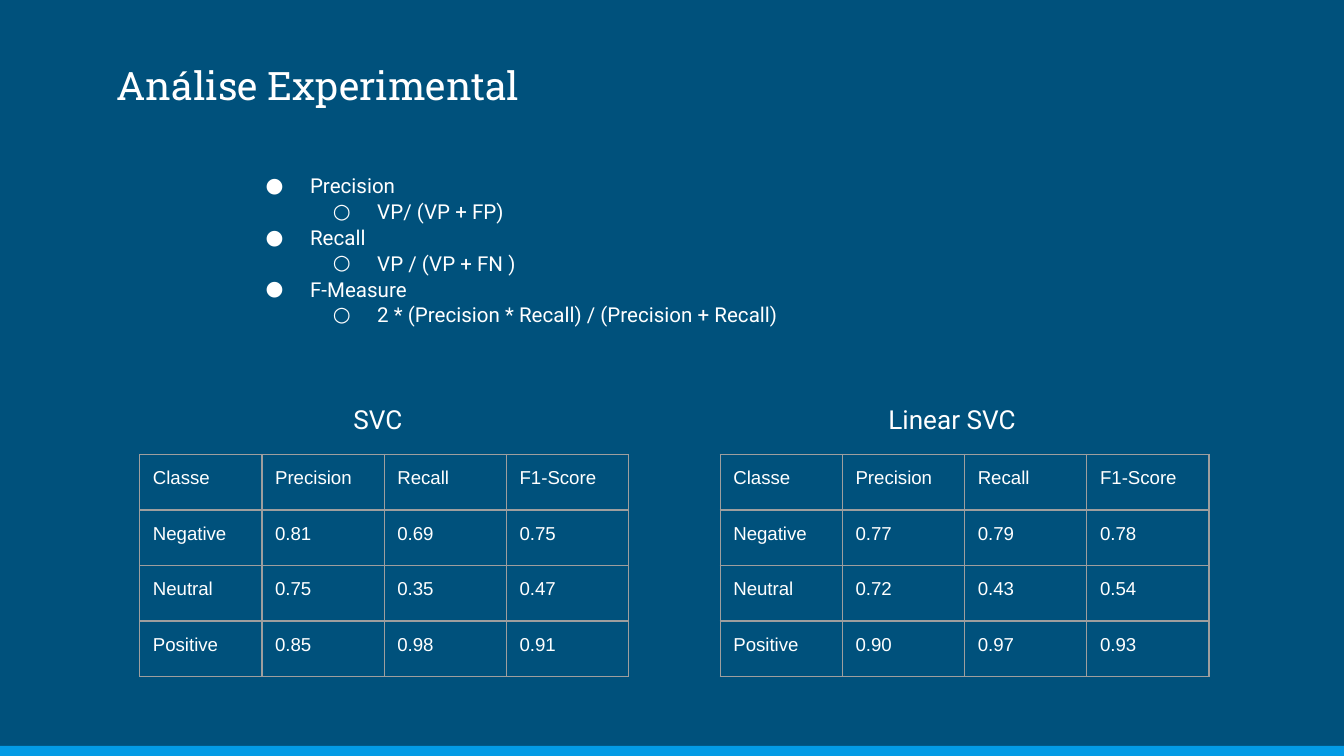
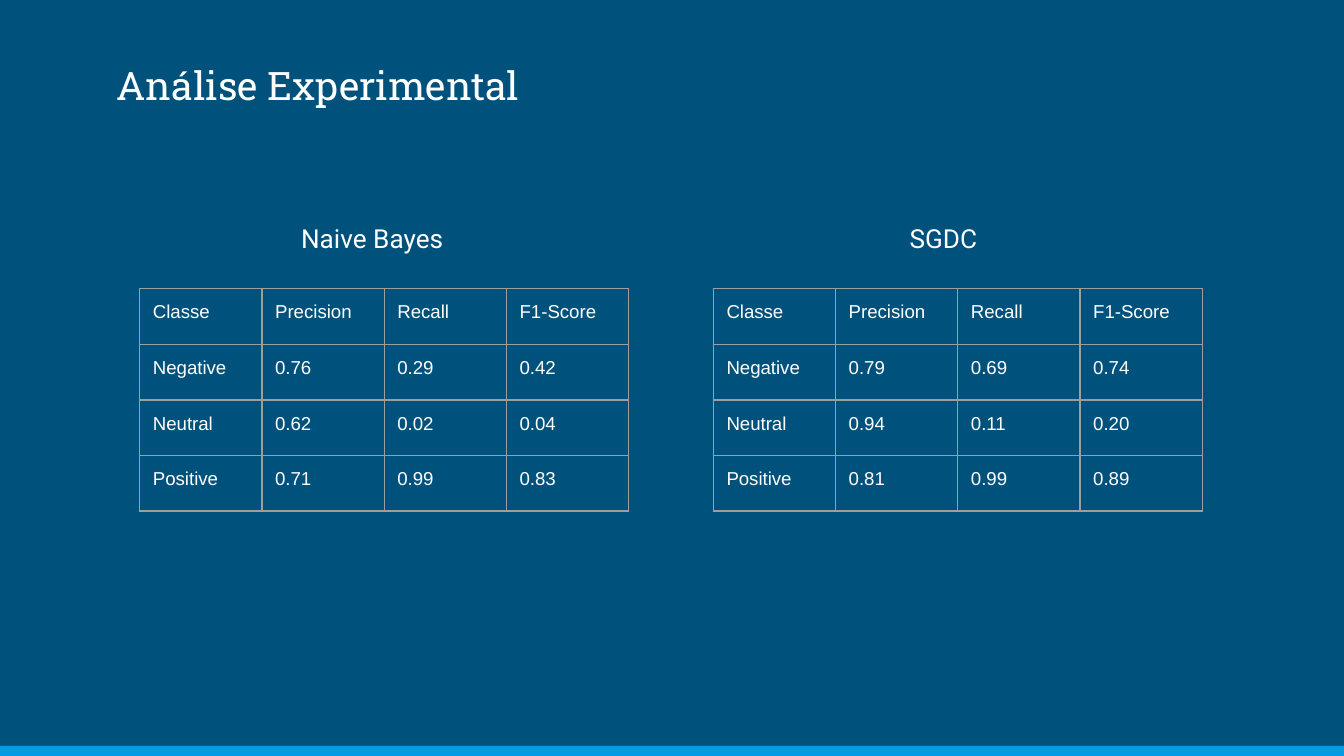
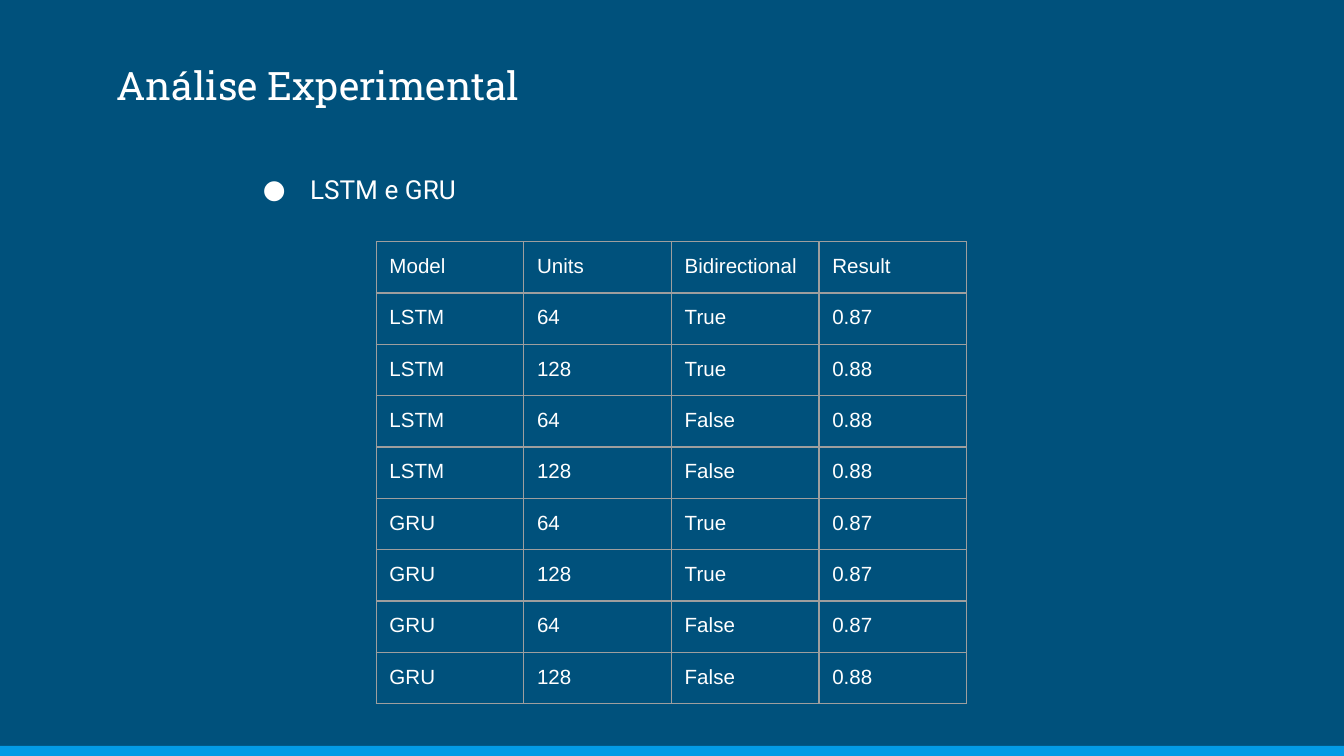
from lxml import etree
from pptx import Presentation
from pptx.dml.color import RGBColor
from pptx.enum.shapes import MSO_SHAPE
from pptx.enum.text import MSO_ANCHOR, PP_ALIGN
from pptx.oxml.ns import qn
from pptx.util import Cm, Pt

RECT = MSO_SHAPE.RECTANGLE
TOP, MIDDLE = MSO_ANCHOR.TOP, MSO_ANCHOR.MIDDLE
LEFT, CENTER = PP_ALIGN.LEFT, PP_ALIGN.CENTER
NAVY = RGBColor(0x00, 0x51, 0x7C)
SKY = RGBColor(0x03, 0x9B, 0xE5)
GREY = RGBColor(0x9E, 0x9E, 0x9E)
WHITE = RGBColor(0xFF, 0xFF, 0xFF)
SLAB, SANS, ARIAL = "Roboto Slab", "Roboto", "Arial"
WIDTH, HEIGHT, BAND = 25.4, 14.29, 0.19
INSET, INDENT = 0.25, 1.27
EDGES = ("a:lnL", "a:lnR", "a:lnT", "a:lnB")
HEAD = ("Classe", "Precision", "Recall", "F1-Score")
CLASSES = ("Negative", "Neutral", "Positive")


class Deck:
    """Hold the shared style and the current slide."""

    def __init__(self):
        self.prs = Presentation()
        self.prs.slide_width, self.prs.slide_height = Cm(WIDTH), Cm(HEIGHT)
        self.slide = None

    def page(self, title):
        self.slide = self.prs.slides.add_slide(self.prs.slide_layouts[6])
        fill = self.slide.background.fill
        fill.solid()
        fill.fore_color.rgb = NAVY
        self.band()
        self.text([title], (0.64, 0.58, 10.74, 2.06), 21, SLAB, CENTER, MIDDLE)

    def band(self):
        band = self.slide.shapes.add_shape(
            RECT, 0, Cm(HEIGHT - BAND), Cm(WIDTH), Cm(BAND))
        band.shadow.inherit = False
        band.fill.solid()
        band.fill.fore_color.rgb = SKY
        band.line.fill.background()

    def style(self, para, size, font):
        for run in para.runs:
            run.font.size = Pt(size)
            run.font.name = font
            run.font.color.rgb = WHITE

    def text(self, lines, area, size, font=SANS, align=LEFT, anchor=TOP):
        box = self.slide.shapes.add_textbox(*map(Cm, area))
        frame = box.text_frame
        frame.word_wrap = True
        frame.vertical_anchor = anchor
        frame.margin_left = frame.margin_right = Cm(INSET)
        frame.margin_top = frame.margin_bottom = Cm(INSET)
        frame.text = "\n".join(lines)
        for para in frame.paragraphs:
            para.alignment = align
            self.style(para, size, font)
        return frame

    def bullets(self, items, height, size, hang):
        lines = [line for level, line in items]
        frame = self.text(lines, (4.34, 3, 18.42, height), size)
        for para, (level, line) in zip(frame.paragraphs, items):
            para.level = level
            para.line_spacing = 1.05
            props = para._p.get_or_add_pPr()
            props.set("marL", str(Cm(INDENT * (level + 1))))
            props.set("indent", str(Cm(-hang)))
            color = etree.SubElement(props, qn("a:buClr"))
            etree.SubElement(color, qn("a:srgbClr"), val=str(WHITE))
            etree.SubElement(props, qn("a:buFont"), typeface=SANS)
            etree.SubElement(props, qn("a:buChar"), char="●○"[level])

    def border(self, cell):
        props = cell._tc.get_or_add_tcPr()
        for edge in EDGES:
            line = etree.SubElement(props, qn(edge), w=str(Pt(0.75)))
            fill = etree.SubElement(line, qn("a:solidFill"))
            etree.SubElement(fill, qn("a:srgbClr"), val=str(GREY))

    def table(self, rows, left, top, width, height, size):
        count, wide = len(rows), len(rows[0])
        table = self.slide.shapes.add_table(
            count, wide, Cm(left), Cm(top),
            Cm(width * wide), Cm(height * count)).table
        table.first_row = table.horz_banding = False
        for col in table.columns:
            col.width = Cm(width)
        for row, values in zip(table.rows, rows):
            row.height = Cm(height)
            for cell, value in zip(row.cells, values):
                cell.text = value
                cell.margin_left = cell.margin_right = Cm(INSET)
                cell.margin_top = cell.margin_bottom = Cm(INSET)
                self.border(cell)
                cell.fill.background()
                self.style(cell.text_frame.paragraphs[0], size, ARIAL)

    def scores(self, name, label, left, top, values):
        rows = [HEAD] + [(kind, *line.split())
                         for kind, line in zip(CLASSES, values)]
        self.table(rows, left, top, 2.31, 1.05, 10)
        self.text([name], (*label, 1.12), 14)


def main():
    deck = Deck()
    title = "Análise Experimental"

    deck.page(title)
    deck.bullets([
        (0, "Precision"), (1, "VP/ (VP + FP)"),
        (0, "Recall"), (1, "VP / (VP + FN )"),
        (0, "F-Measure"), (1, "2 * (Precision * Recall) / (Precision + Recall)"),
    ], 6.45, 11, 0.84)
    deck.scores("SVC", (6.43, 7.37, 1.65), 2.64, 8.59,
                ("0.81 0.69 0.75", "0.75 0.35 0.47", "0.85 0.98 0.91"))
    deck.scores("Linear SVC", (16.54, 7.37, 3.4), 13.61, 8.59,
                ("0.77 0.79 0.78", "0.72 0.43 0.54", "0.90 0.97 0.93"))

    deck.page(title)
    deck.scores("Naive Bayes", (5.44, 3.96, 4.5), 2.64, 5.46,
                ("0.76 0.29 0.42", "0.62 0.02 0.04", "0.71 0.99 0.83"))
    deck.scores("SGDC", (16.94, 3.96, 3.4), 13.48, 5.46,
                ("0.79 0.69 0.74", "0.94 0.11 0.20", "0.81 0.99 0.89"))

    deck.page(title)
    deck.bullets([(0, "LSTM e GRU")], 1.88, 14, 0.89)
    runs = [("Model", "Units", "Bidirectional", "Result")]
    results = {"LSTM": ("0.87", "0.88", "0.88", "0.88"),
               "GRU": ("0.87", "0.87", "0.87", "0.88")}
    setups = [(units, both) for both in ("True", "False")
              for units in ("64", "128")]
    for model, values in results.items():
        runs += [(model, *setup, value)
                 for setup, value in zip(setups, values)]
    deck.table(runs, 7.11, 4.57, 2.79, 0.97, 11)

    deck.prs.save("out.pptx")


if __name__ == "__main__":
    main()
